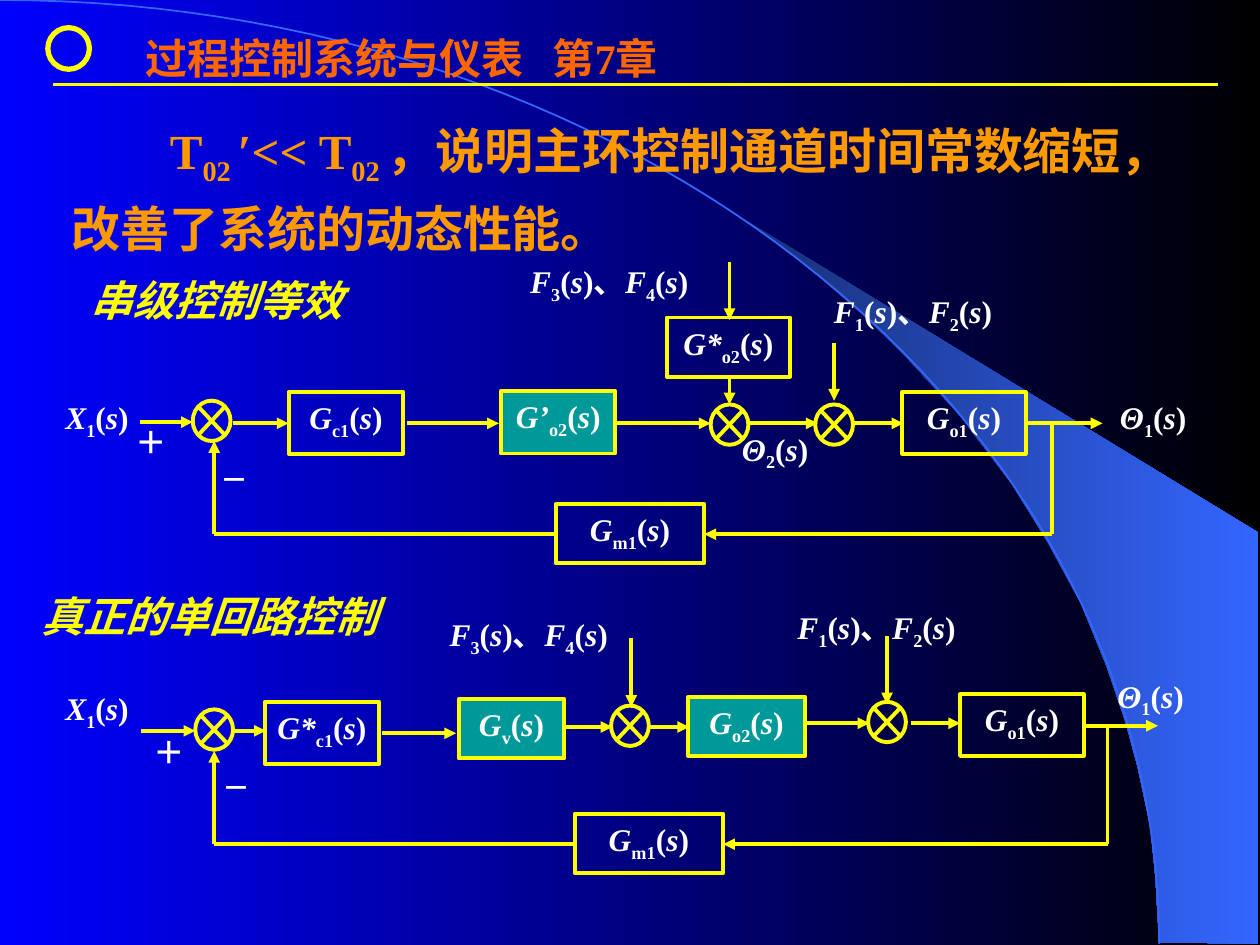
from lxml import etree
from pptx import Presentation
from pptx import util as u
from pptx.dml.color import RGBColor
from pptx.enum import shapes, text
from pptx.oxml.ns import qn

FONT = "Times New Roman"
C = {"blue": "0000FF", "black": "000000", "navy": "182F76", "sky": "3366FF",
     "yellow": "FFFF00", "white": "FFFFFF", "teal": "009999",
     "title": "FF6600", "body": "FF9900"}

TITLE = "过程控制系统与仪表\t第7章"
BODY = [("T", 0), ("02 ", 1), ("′<< T", 0), ("02 ", 1),
        ("，说明主环控制通道时间常数缩短，改善了系统的动态性能。", 0)]
HEADINGS = [("串级控制等效", 0.62, 2.13, 2.71), ("真正的单回路控制", 0.23, 4.64, 3.13)]

WEDGE = [(9.2, 7.48), (9.99, 7.49), (9.99, 4.23), (5.89, 1.73), (6.24, 1.99),
         (6.53, 2.22), (6.85, 2.5), (7.16, 2.8), (7.62, 3.3), (8.03, 3.84),
         (8.32, 4.31), (8.58, 4.79), (8.78, 5.28), (8.93, 5.72), (9.03, 6.09),
         (9.13, 6.56), (9.17, 6.96), (9.2, 7.48)]
ARC = [(0, 0), (5.08, 0), (9.2, 3.35), (9.2, 7.49)]

F34, F12 = [("F", "3"), ("F", "4")], [("F", "1"), ("F", "2")]
LOOPS = [
    {"boxes": [("G", "c1", 2.29, 3.11, 0.91, 0.49, None),
               ("G’", "o2", 3.98, 3.1, 0.9, 0.5, "teal"),
               ("G*", "o2", 5.29, 2.52, 0.98, 0.47, None),
               ("G", "o1", 7.16, 3.11, 0.98, 0.49, None),
               ("G", "m1", 4.41, 4, 1.18, 0.47, None)],
     "sums": [(1.53, 3.18), (5.64, 3.21), (6.47, 3.21)],
     "labels": [([("X", "1")], 0.42, 3.11, 0.74), ([("Θ", "1")], 8.79, 3.11, 0.79),
                ([("Θ", "2")], 5.79, 3.36, 0.88), (F34, 4.11, 2.03, 1.77),
                (F12, 6.52, 2.27, 1.72)],
     "signs": [("＋", 18, 0.98, 3.31, 0.55), ("－", 16, 1.65, 3.62, 0.42)],
     "across": [(1.11, 1.53, 3.35), (1.85, 2.29, 3.36), (3.23, 3.96, 3.36),
                (4.9, 5.64, 3.36), (5.93, 6.49, 3.36), (6.77, 7.17, 3.36),
                (8.15, 8.75, 3.36)],
     "down": [(5.79, 2.08, 2.54), (5.79, 3.01, 3.21), (6.62, 2.72, 3.18)],
     "feedback": (1.7, 4.41, 5.59, 8.35, 3.5, 3.36, 4.24)},
    {"boxes": [("G*", "c1", 2.1, 5.57, 0.91, 0.49, None),
               ("G", "v", 3.64, 5.55, 0.84, 0.47, "teal"),
               ("G", "o2", 5.46, 5.53, 0.93, 0.47, "teal"),
               ("G", "o1", 7.62, 5.51, 0.98, 0.49, None),
               ("G", "m1", 4.56, 6.46, 1.18, 0.47, None)],
     "sums": [(1.55, 5.63), (4.85, 5.6), (6.89, 5.57)],
     "labels": [([("X", "1")], 0.42, 5.42, 0.74), ([("Θ", "1")], 8.77, 5.32, 0.79),
                (F34, 3.47, 4.83, 1.77), (F12, 6.23, 4.78, 1.72)],
     "signs": [("＋", 18, 1.12, 5.77, 0.55), ("－", 16, 1.67, 6.07, 0.42)],
     "across": [(1.12, 1.55, 5.8), (1.86, 2.11, 5.8), (3.03, 3.62, 5.82),
                (4.49, 4.86, 5.77), (5.15, 5.47, 5.77), (6.4, 6.9, 5.74),
                (7.23, 7.62, 5.74), (8.59, 9.19, 5.76)],
     "down": [(5.01, 5.06, 5.61), (7.04, 5.05, 5.59)],
     "feedback": (1.7, 4.56, 5.74, 8.79, 5.96, 5.77, 6.7)},
]


def rgb(name):
    return RGBColor.from_string(C[name])


def gradient(fill, *names):
    fill.gradient()
    fill.gradient_angle = 0
    for i, (stop, name) in enumerate(zip(fill.gradient_stops, names)):
        stop.position = i
        stop.color.rgb = rgb(name)


def style(sp, fill=None, line="yellow", width=2.25):
    sp.shadow.inherit = False
    if fill:
        sp.fill.solid()
        sp.fill.fore_color.rgb = rgb(fill)
    else:
        sp.fill.background()
    sp.line.color.rgb = rgb(line)
    sp.line.width = u.Pt(width)


def preset(s, kind, x, y, w, h, **look):
    sp = s.shapes.add_shape(kind, *map(u.Inches, (x, y, w, h)))
    style(sp, **look)
    return sp


def outline(s, points):
    pts = [(u.Inches(x), u.Inches(y)) for x, y in points]
    fb = s.shapes.build_freeform(*pts[0], scale=1.0)
    fb.add_line_segments(pts[1:], close=False)
    return fb.convert_to_shape()


def bezier(a, b, c, d, steps=60):
    for t in (i / steps for i in range(steps + 1)):
        k = (1 - t) ** 3, 3 * t * (1 - t) ** 2, 3 * t * t * (1 - t), t ** 3
        yield tuple(sum(f * v for f, v in zip(k, axis)) for axis in zip(a, b, c, d))


def line(s, x1, y1, x2, y2, arrow=True, width=2.25):
    cn = s.shapes.add_connector(shapes.MSO_CONNECTOR.STRAIGHT,
                                *map(u.Inches, (x1, y1, x2, y2)))
    cn.line.color.rgb = rgb("yellow")
    cn.line.width = u.Pt(width)
    if arrow:
        etree.SubElement(cn.line._get_or_add_ln(), qn("a:tailEnd"), type="triangle")
    etree.SubElement(cn._element.spPr, qn("a:effectLst"))


def write(sp, runs, size=18, color="white", align=text.PP_ALIGN.LEFT, italic=None):
    tf = sp.text_frame
    tf.word_wrap = True
    tf.vertical_anchor = text.MSO_ANCHOR.TOP
    p = tf.paragraphs[0]
    p.alignment = align
    f = p.font
    f.name, f.size, f.bold, f.italic = FONT, u.Pt(size), True, italic
    f.color.rgb = rgb(color)
    for words, sub, *slant in runs:
        r = p.add_run()
        r.text = words
        if slant:
            r.font.italic = slant[0]
        if sub:
            r.font._element.set("baseline", "-25000")
    return p


def textbox(s, x, y, w, h, runs, **look):
    return write(s.shapes.add_textbox(*map(u.Inches, (x, y, w, h))), runs, **look)


def formula(*terms):
    runs = []
    for base, sub in terms:
        if runs:
            runs[-1] = (")、", 0, False)
        runs += [(base, 0, True), (sub, 1, False), ("(", 0, False),
                 ("s", 0, True), (")", 0, False)]
    return runs


def draw_loop(s, loop):
    for base, sub, x, y, w, h, fill in loop["boxes"]:
        sp = preset(s, shapes.MSO_SHAPE.RECTANGLE, x, y, w, h, fill=fill)
        write(sp, formula((base, sub)), align=text.PP_ALIGN.CENTER)
    for x, y in loop["sums"]:
        preset(s, shapes.MSO_SHAPE.FLOWCHART_SUMMING_JUNCTION, x, y, 0.3, 0.32)
    for x1, x2, y in loop["across"]:
        line(s, x1, y, x2, y)
    for x, y1, y2 in loop["down"]:
        line(s, x, y1, x, y2)
    left, box_left, box_right, right, sum_y, tap_y, y = loop["feedback"]
    line(s, right, tap_y, right, y, arrow=False)
    line(s, right, y, box_right, y)
    line(s, box_left, y, left, y, arrow=False)
    line(s, left, y, left, sum_y)
    for terms, x, y, w in loop["labels"]:
        textbox(s, x, y, w, 0.45, formula(*terms))
    for sign, size, x, y, w in loop["signs"]:
        textbox(s, x, y, w, 0.37, [(sign, 0)], size=size)


def main():
    prs = Presentation()
    prs.slide_width, prs.slide_height = u.Inches(10), u.Inches(7.5)
    s = prs.slides.add_slide(prs.slide_layouts[6])
    gradient(s.background.fill, "blue", "black")

    wedge = outline(s, WEDGE)
    wedge.shadow.inherit = False
    gradient(wedge.fill, "navy", "sky")
    wedge.line.fill.background()
    style(outline(s, bezier(*ARC)), line="sky", width=1)

    preset(s, shapes.MSO_SHAPE.OVAL, 0.38, 0.22, 0.33, 0.33, width=3)
    line(s, 0.42, 0.67, 9.67, 0.67, arrow=False, width=1.5)
    p = textbox(s, 1.06, 0.21, 4.49, 0.5, [(TITLE, 0)], size=24, color="title")
    tabs = etree.Element(qn("a:tabLst"))
    etree.SubElement(tabs, qn("a:tab"), pos=str(u.Inches(3.23)), algn="l")
    p._p.get_or_add_pPr().insert(0, tabs)

    for loop in LOOPS:
        draw_loop(s, loop)
    for words, x, y, w in HEADINGS:
        textbox(s, x, y, w, 0.5, [(words, 0)], size=24, color="yellow", italic=True)

    p = textbox(s, 0.47, 0.8, 9.15, 1.3, BODY, size=28, color="body")
    p.line_spacing = 1.2
    p._p.get_or_add_pPr().set("indent", str(u.Inches(0.78)))
    prs.save("out.pptx")


if __name__ == "__main__":
    main()
